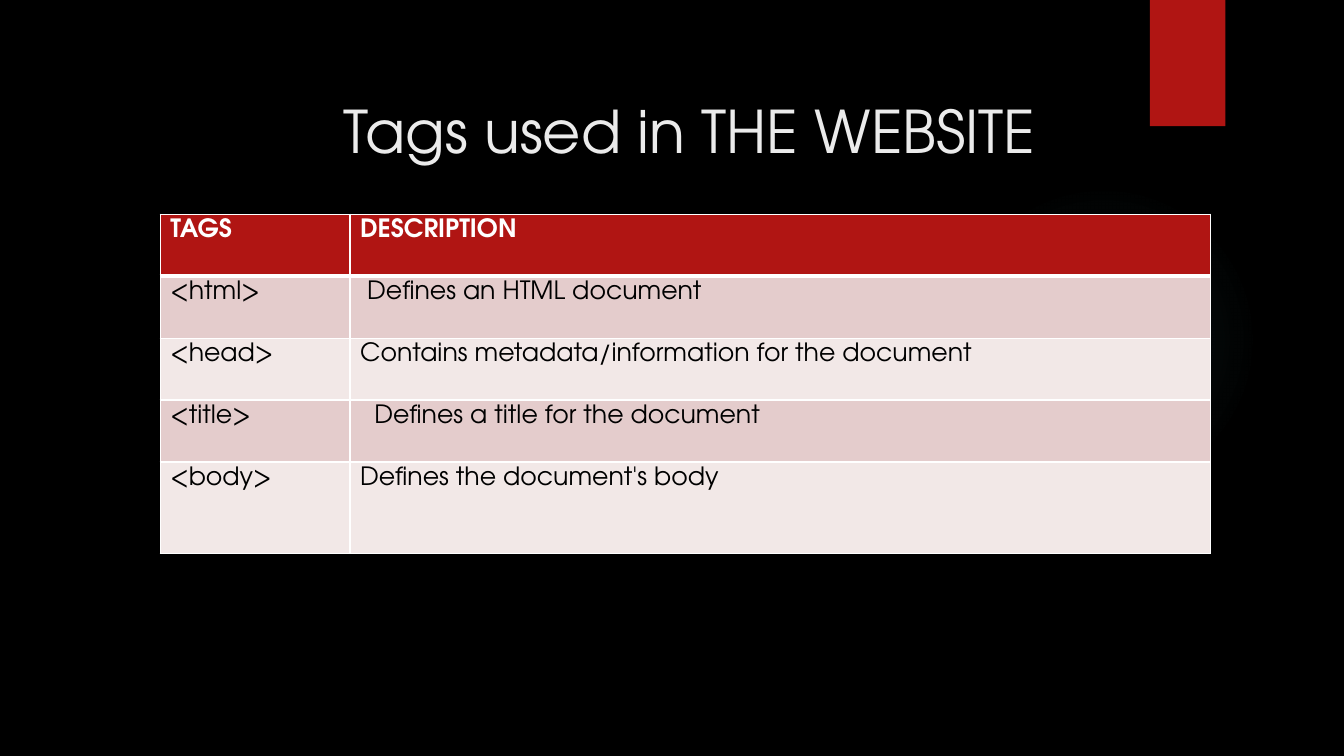
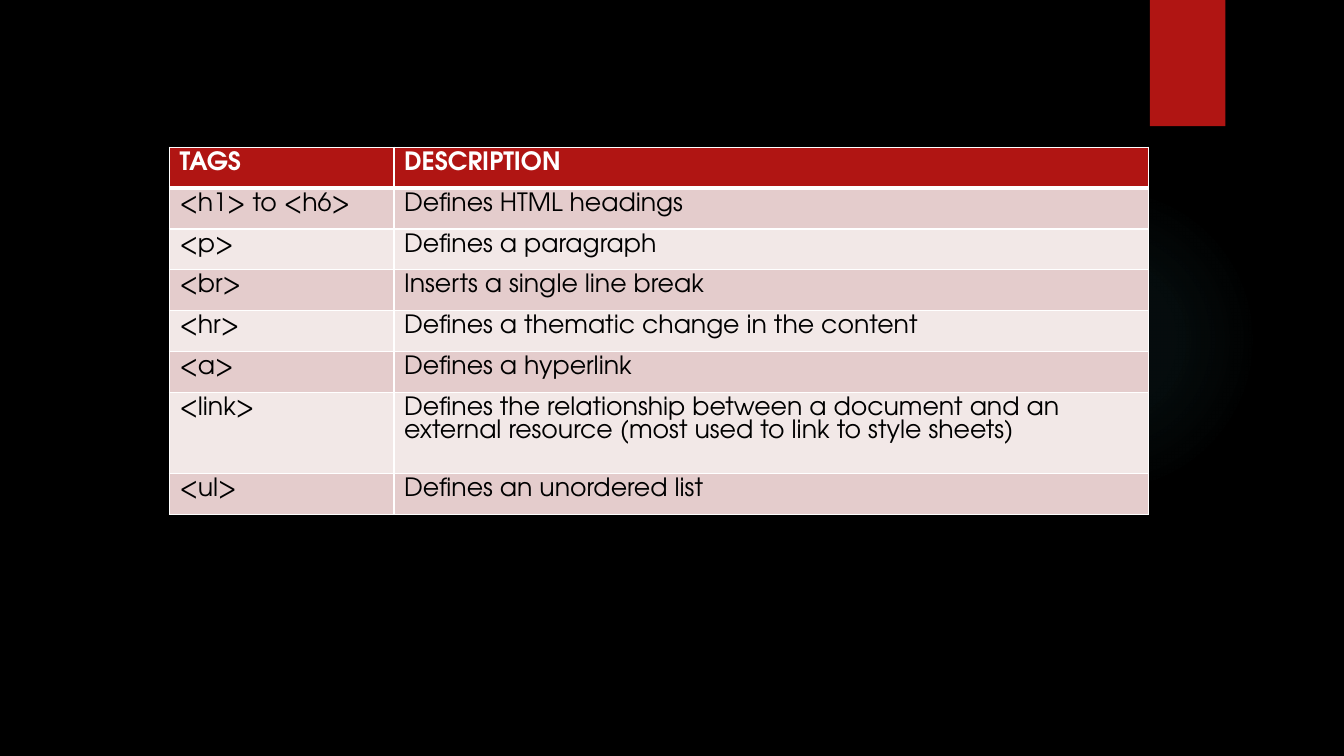
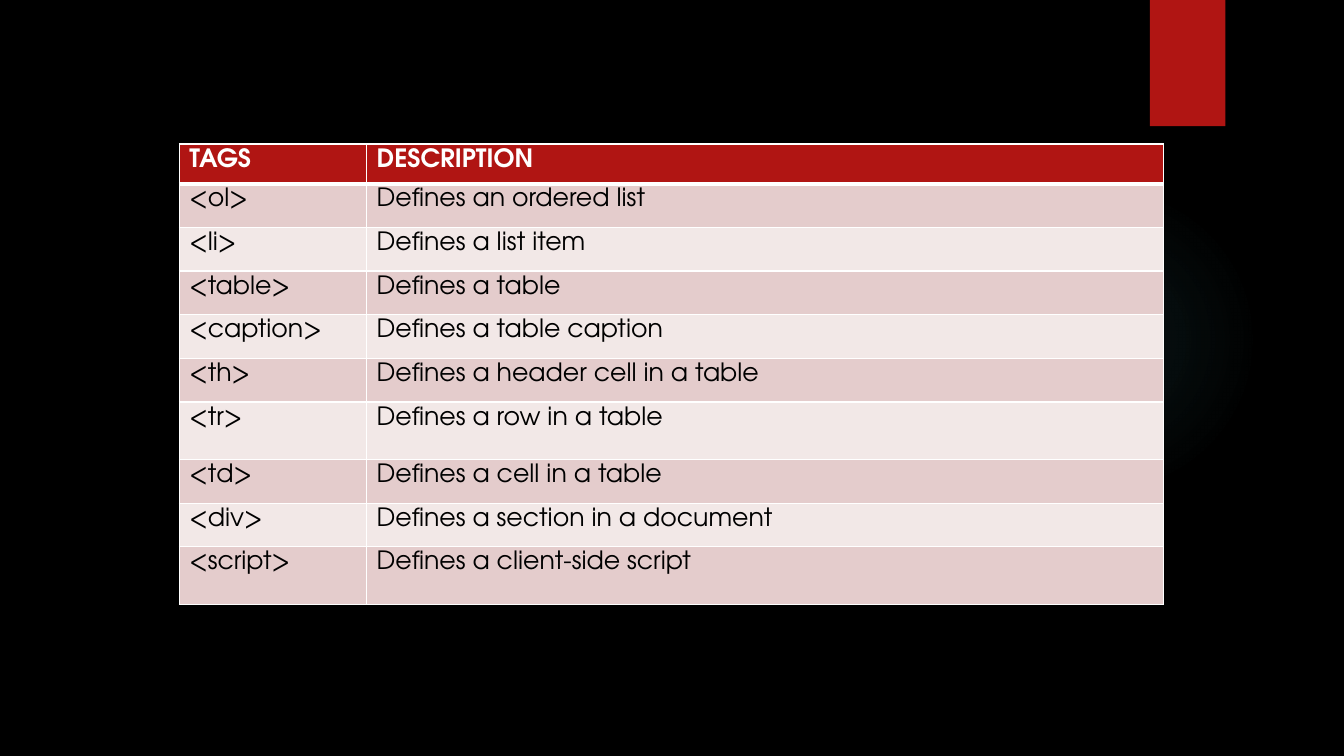
"""Builds three slides that list the HTML tags used in a website."""
from lxml import etree
from pptx import Presentation
from pptx.dml.color import RGBColor
from pptx.enum import shapes, text
from pptx.oxml import ns
from pptx.util import Cm, Pt

FONT = "TeX Gyre Adventor"
BLACK = RGBColor(0x00, 0x00, 0x00)
WHITE = RGBColor(0xFF, 0xFF, 0xFF)
TITLE_GREY = RGBColor(0xEB, 0xEB, 0xEB)
RED = RGBColor(0xB0, 0x15, 0x13)
ROSE = RGBColor(0xE4, 0xCC, 0xCC)
PALE_ROSE = RGBColor(0xF2, 0xE8, 0xE7)
TEAL = RGBColor(0x50, 0xB9, 0xC1)
TITLE_ONLY, BLANK = 5, 6
SPACE = Cm(0.18)
GLOW_STOPS = ((0, 7), (36, 6), (69, 0))

HEADER = ("TAGS", "DESCRIPTION")
DOCUMENT_TAGS = (
    ("<html>", "Defines an HTML document"),
    ("<head>", "Contains metadata/information for the document"),
    ("<title>", "Defines a title for the document"),
    ("<body>", "Defines the document's body"),
)
TEXT_TAGS = (
    ("<h1> to <h6>", "Defines HTML headings"),
    ("<p>", "Defines a paragraph"),
    ("<br>", "Inserts a single line break"),
    ("<hr>", "Defines a thematic change in the content"),
    ("<a>", "Defines a hyperlink"),
    ("<link>", "Defines the relationship between a document and an external "
               "resource (most used to link to style sheets)"),
    ("<ul>", "Defines an unordered list"),
)
STRUCTURE_TAGS = (
    ("<ol>", "Defines an ordered list"),
    ("<li>", "Defines a list item"),
    ("<table>", "Defines a table"),
    ("<caption>", "Defines a table caption"),
    ("<th>", "Defines a header cell in a table"),
    ("<tr>", "Defines a row in a table"),
    ("<td>", "Defines a cell in a table"),
    ("<div>", "Defines a section in a document"),
    ("<script>", "Defines a client-side script"),
)


def style_runs(paragraph, size, color, bold=False):
    """Format every run of a paragraph."""
    for run in paragraph.runs:
        run.font.name = FONT
        run.font.size = Pt(size)
        run.font.bold = bold
        run.font.color.rgb = color


def add_plain_shape(slide, kind, left, top, width, height):
    """Add a preset shape without outline or shadow."""
    shape = slide.shapes.add_shape(kind, left, top, width, height)
    shape.line.fill.background()
    shape.shadow.inherit = False
    return shape


def fill_with_glow(shape):
    """Fill a shape with a faint radial gradient."""
    stops = "".join(
        f'<a:gs pos="{position * 1000}"><a:srgbClr val="{TEAL}">'
        f'<a:alpha val="{opacity * 1000}"/></a:srgbClr></a:gs>'
        for position, opacity in GLOW_STOPS)
    gradient = etree.fromstring(
        f'<a:gradFill {ns.nsdecls("a")}><a:gsLst>{stops}</a:gsLst>'
        '<a:path path="circle"><a:fillToRect l="50000" t="50000" '
        'r="50000" b="50000"/></a:path></a:gradFill>')
    shape.element.spPr.find(ns.qn("a:prstGeom")).addnext(gradient)


def add_tag_slide(prs, layout):
    """Add a slide with the glow and the red band."""
    slide = prs.slides.add_slide(prs.slide_layouts[layout])
    glow = add_plain_shape(slide, shapes.MSO_SHAPE.OVAL,
                           Cm(23.9), Cm(4.65), Cm(7.82), Cm(7.82))
    fill_with_glow(glow)
    band = add_plain_shape(slide, shapes.MSO_SHAPE.RECTANGLE,
                           Cm(28.98), 0, Cm(1.9), Cm(3.18))
    band.fill.solid()
    band.fill.fore_color.rgb = RED
    return slide


def set_title(slide, wording):
    """Place and format the title placeholder."""
    title = slide.shapes.title
    title.left, title.top, title.width, title.height = (
        Cm(4.04), Cm(2.24), Cm(26.67), Cm(2.06))
    frame = title.text_frame
    frame.text = wording
    frame.vertical_anchor = text.MSO_ANCHOR.MIDDLE
    frame.paragraphs[0].alignment = text.PP_ALIGN.CENTER
    style_runs(frame.paragraphs[0], 42, TITLE_GREY)


def set_borders(cell, top, bottom):
    """Draw white cell borders, with the top and bottom widths in points."""
    properties = cell._tc.get_or_add_tcPr()
    for side, width in (("L", 1), ("R", 1), ("T", top), ("B", bottom)):
        line = etree.SubElement(properties, ns.qn(f"a:ln{side}"),
                                w=str(Pt(width)))
        fill = etree.SubElement(line, ns.qn("a:solidFill"))
        etree.SubElement(fill, ns.qn("a:srgbClr"), val=str(WHITE))


def format_cell(cell, wording, row):
    """Write one table cell in the style of its row."""
    is_header = row == 0
    set_borders(cell, 3 if row == 1 else 1, 3 if is_header else 1)
    cell.fill.solid()
    cell.fill.fore_color.rgb = RED if is_header else (PALE_ROSE, ROSE)[row % 2]
    cell.text = wording
    paragraph = cell.text_frame.paragraphs[0]
    paragraph.line_spacing = Pt(16.4)
    style_runs(paragraph, 18, WHITE if is_header else BLACK, is_header)


def add_tag_table(slide, left, top, widths, heights, tags):
    """Add a table of tags below a header row and return it."""
    rows = (HEADER, *tags)
    table = slide.shapes.add_table(len(rows), len(HEADER), left, top,
                                   sum(widths), sum(heights)).table
    for column, width in zip(table.columns, widths):
        column.width = width
    for index, (wordings, height) in enumerate(zip(rows, heights)):
        table.rows[index].height = height
        for column, wording in enumerate(wordings):
            format_cell(table.cell(index, column), wording, index)
    return table


def main():
    """Build and save the presentation."""
    prs = Presentation()
    prs.slide_width, prs.slide_height = Cm(33.87), Cm(19.05)
    background = prs.slide_master.background.fill
    background.solid()
    background.fore_color.rgb = BLACK

    slide = add_tag_slide(prs, TITLE_ONLY)
    set_title(slide, "Tags used in THE WEBSITE")
    table = add_tag_table(slide, Cm(4.04), Cm(5.4), (Cm(4.78), Cm(21.69)),
                          [Cm(1.56)] * 4 + [Cm(2.3)], DOCUMENT_TAGS)
    for row, spaces in ((1, 1), (3, 2)):
        table.cell(row, 1).margin_left += spaces * SPACE

    slide = add_tag_slide(prs, BLANK)
    add_tag_table(slide, Cm(4.27), Cm(3.71), (Cm(5.66), Cm(19.02)),
                  [Cm(1.03)] * 6 + [Cm(2.05), Cm(1.03)], TEXT_TAGS)

    slide = add_tag_slide(prs, BLANK)
    add_tag_table(slide, Cm(4.52), Cm(3.63), (Cm(4.72), Cm(20.09)),
                  [Cm(1)] + [Cm(1.1)] * 5 + [Cm(1.45)] + [Cm(1.1)] * 2
                  + [Cm(1.45)], STRUCTURE_TAGS)
    prs.save("out.pptx")


if __name__ == "__main__":
    main()
